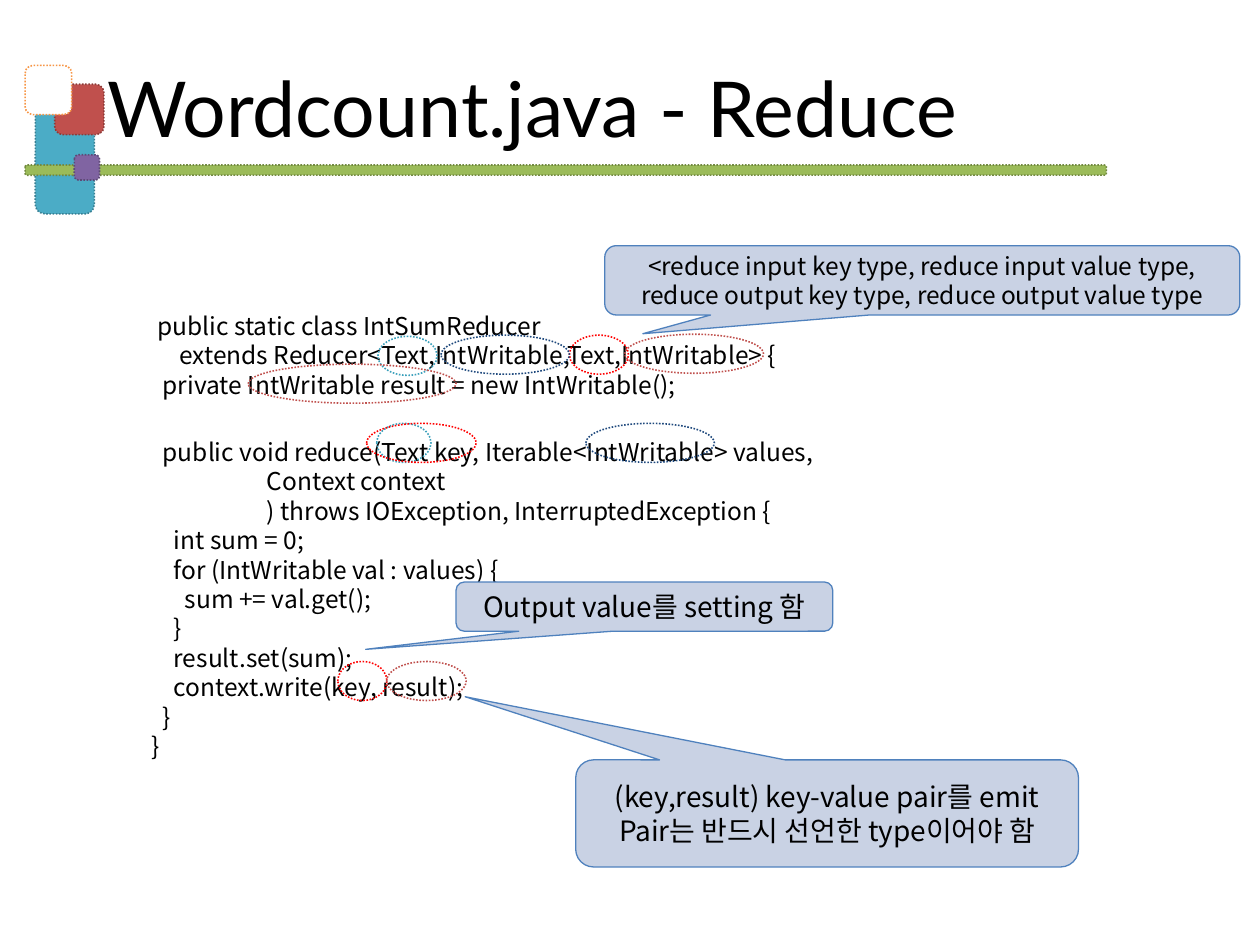
import pptx
import pptx.util
import pptx.dml.color
import pptx.enum.dml
import pptx.enum.shapes
import pptx.enum.text
import pptx.oxml.ns

Pt = pptx.util.Pt
RGBColor = pptx.dml.color.RGBColor
SHAPE = pptx.enum.shapes.MSO_SHAPE
ALIGN = pptx.enum.text.PP_ALIGN
ANCHOR = pptx.enum.text.MSO_ANCHOR
DOTTED = pptx.enum.dml.MSO_LINE.ROUND_DOT

BLACK = RGBColor(0x00, 0x00, 0x00)
WHITE = RGBColor(0xFF, 0xFF, 0xFF)
AQUA, AQUA_EDGE = RGBColor(0x4B, 0xAC, 0xC6), RGBColor(0x37, 0x7F, 0x92)
GREEN, GREEN_EDGE = RGBColor(0x9B, 0xBB, 0x59), RGBColor(0x72, 0x8A, 0x41)
BRICK, BRICK_EDGE = RGBColor(0xC0, 0x50, 0x4D), RGBColor(0x8E, 0x3B, 0x38)
ORANGE = RGBColor(0xF7, 0x96, 0x46)
PURPLE, PURPLE_EDGE = RGBColor(0x80, 0x64, 0xA2), RGBColor(0x5E, 0x49, 0x77)
CALLOUT_FILL, CALLOUT_EDGE = RGBColor(0xC9, 0xD2, 0xE4), RGBColor(0x4F, 0x81, 0xBD)

# One ring colour for each role of a type
INPUT_KEY = RGBColor(0x3B, 0xA0, 0xBB)
INPUT_VALUE = RGBColor(0x1F, 0x49, 0x7D)
OUTPUT_KEY = RGBColor(0xFF, 0x00, 0x00)
OUTPUT_VALUE = BRICK

TITLE_FONT = "Lato"
BODY_FONT = "Noto Sans CJK KR"
CODE_SIZE = 14
LINE_FACTOR = 1.2
SPACE_WIDTH = 3.13
RING_HEIGHT = 22.3

# Indent in characters, code, space before in points
CODE_LINES = [
    (3, "public static class IntSumReducer", 0),
    (7, "extends Reducer<Text,IntWritable,Text,IntWritable> {", 0),
    (4, "private IntWritable result = new IntWritable();", 0),
    (4, "public void reduce(Text key, Iterable<IntWritable> values,", 21.5),
    (23, "Context context", 0),
    (23, ") throws IOException, InterruptedException {", 0),
    (6, "int sum = 0;", 0),
    (6, "for (IntWritable val : values) {", 0),
    (8, "sum += val.get();", 0),
    (6, "}", 0),
    (6, "result.set(sum);", 0),
    (6, "context.write(key, result);", 0),
    (4, "}", 0),
    (2, "}", 0),
]

# Left, top and width within the code box, then colour
RINGS = [
    (283.7, 16.8, 79.2, OUTPUT_VALUE),
    (252, 17.3, 33.8, OUTPUT_KEY),
    (178.6, 17.3, 73.4, INPUT_VALUE),
    (142.6, 18, 33.8, INPUT_KEY),
    (141.9, 67.7, 31, INPUT_KEY),
    (261.4, 67.7, 73.4, INPUT_VALUE),
    (119.6, 203.8, 28.1, OUTPUT_KEY),
    (136.1, 67.7, 62.6, OUTPUT_KEY),
    (68.4, 33.9, 118.8, OUTPUT_VALUE),
    (147.6, 203.8, 45.4, OUTPUT_VALUE),
]

# Box, pointer position, text size, lines
CALLOUTS = [
    ((345.6, 140.4, 362.9, 39.6), (-0.44, 0.77), 14,
     ["<reduce input key type, reduce input value type,",
      "reduce output key type, reduce output value type"]),
    ((260.6, 332.6, 215.3, 28.1), (-0.74, 0.87), 16,
     ["Output value를 setting 함"]),
    ((329, 434.2, 287.3, 61.2), (-0.72, -1.09), 16,
     ["(key,result) key-value pair를 emit",
      "Pair는 반드시 선언한 type이어야 함"]),
]


def add_outlined(slide, kind, box, fill, edge, width, dotted=True):
    shape = slide.shapes.add_shape(kind, *map(Pt, box))
    shape.shadow.inherit = False
    if fill is None:
        shape.fill.background()
    else:
        shape.fill.solid()
        shape.fill.fore_color.rgb = fill
    shape.line.color.rgb = edge
    shape.line.width = Pt(width)
    if dotted:
        shape.line.dash_style = DOTTED
    return shape


def format_paragraph(paragraph, size, font, align):
    paragraph.alignment = align
    for run in paragraph.runs:
        run.font.name = font
        run.font.size = Pt(size)
        run.font.color.rgb = BLACK
        east_asian = run.font._element.makeelement(
            pptx.oxml.ns.qn("a:ea"), {"typeface": font})
        run.font._element.append(east_asian)


def add_ornament(slide, box):
    left, top, width = box
    parts = [
        ((5.8, 12.9, 33.8, 72), AQUA, AQUA_EDGE),
        ((0, 56.9, width, 5.8), GREEN, GREEN_EDGE),
        ((16.9, 10.8, 28.1, 28.8), BRICK, BRICK_EDGE),
        ((0, 0, 26.6, 28.1), WHITE, ORANGE),
        ((28.1, 51.1, 14.4, 14.4), PURPLE, PURPLE_EDGE),
    ]
    for (x, y, w, h), fill, edge in parts:
        add_outlined(slide, SHAPE.ROUNDED_RECTANGLE, (left + x, top + y, w, h),
                     fill, edge, 0.91)


def add_title(slide, box, text):
    title = slide.shapes.title
    title.left, title.top, title.width, title.height = map(Pt, box)
    frame = title.text_frame
    frame.text = text
    frame.vertical_anchor = ANCHOR.MIDDLE
    format_paragraph(frame.paragraphs[0], 44, TITLE_FONT, ALIGN.LEFT)


def add_code(slide, box):
    left, top = box[:2]
    frame = slide.shapes.add_textbox(*map(Pt, box)).text_frame
    frame.word_wrap = True
    frame.text = "\n".join(code for _, code, _ in CODE_LINES)
    for paragraph, (indent, _, gap) in zip(frame.paragraphs, CODE_LINES):
        format_paragraph(paragraph, CODE_SIZE, BODY_FONT, ALIGN.LEFT)
        paragraph.line_spacing = Pt(CODE_SIZE * LINE_FACTOR)
        paragraph.space_before = Pt(gap)
        properties = paragraph._p.get_or_add_pPr()
        properties.set("marL", str(Pt(indent * SPACE_WIDTH)))
        properties.set("indent", "0")

    # Rings around the matching types
    for x, y, width, colour in RINGS:
        add_outlined(slide, SHAPE.OVAL, (left + x, top + y, width, RING_HEIGHT),
                     None, colour, 0.91)


def add_callout(slide, box, pointer, size, lines):
    shape = add_outlined(slide, SHAPE.ROUNDED_RECTANGULAR_CALLOUT, box,
                         CALLOUT_FILL, CALLOUT_EDGE, 0.75, dotted=False)
    shape.adjustments[0], shape.adjustments[1] = pointer
    frame = shape.text_frame
    frame.word_wrap = True
    frame.vertical_anchor = ANCHOR.MIDDLE
    frame.text = "\n".join(lines)
    for paragraph in frame.paragraphs:
        format_paragraph(paragraph, size, BODY_FONT, ALIGN.CENTER)
        paragraph.line_spacing = Pt(size * LINE_FACTOR)


def main():
    presentation = pptx.Presentation()
    presentation.slide_width, presentation.slide_height = Pt(720), Pt(540)
    slide = presentation.slides.add_slide(presentation.slide_layouts[5])
    add_ornament(slide, (14.4, 37.4, 617.8))
    add_title(slide, (54, 21.6, 630, 78.5), "Wordcount.java - Reduce")
    add_code(slide, (73.4, 174.2, 527, 258.5))
    for callout in CALLOUTS:
        add_callout(slide, *callout)
    presentation.save("out.pptx")


if __name__ == "__main__":
    main()
